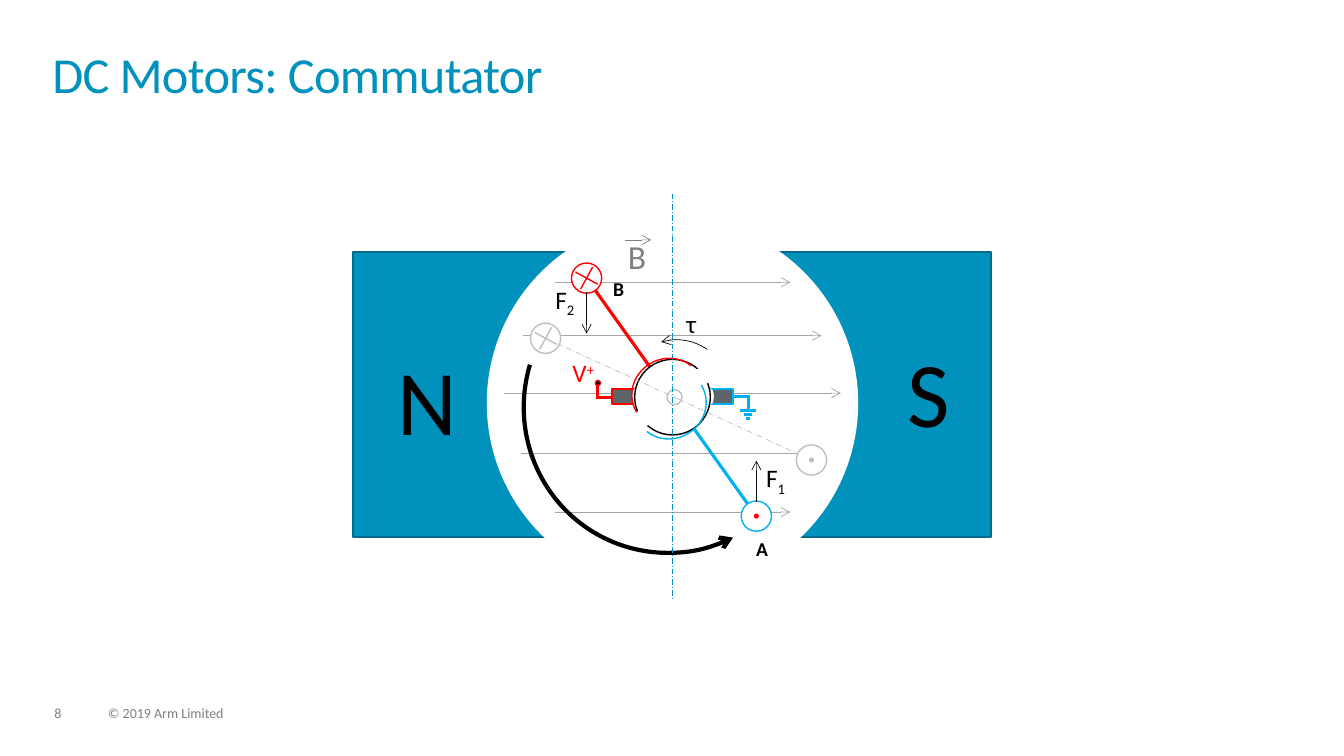
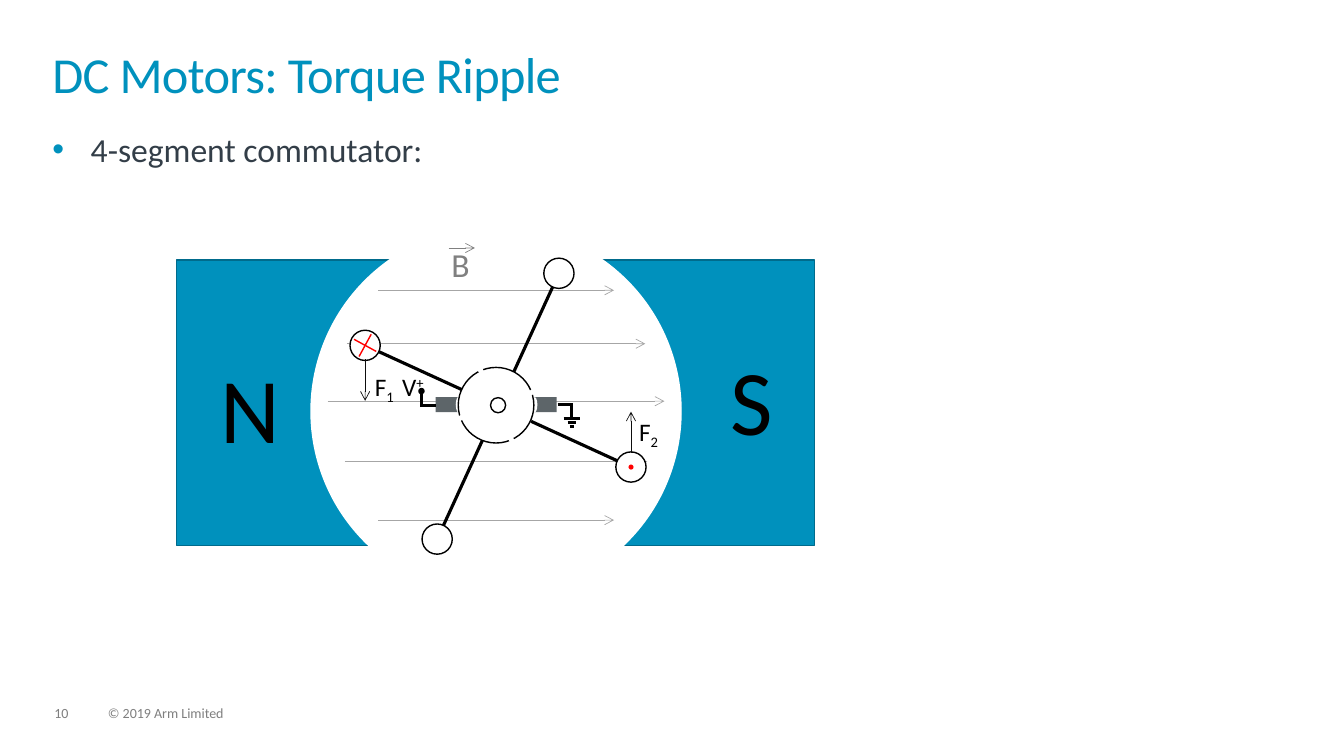
"""Build two slides on DC motors: the commutator and torque ripple."""
from dataclasses import dataclass
from math import cos, radians, sin
from typing import Any

from lxml.etree import SubElement
from pptx import Presentation
from pptx.dml.color import RGBColor as RGB
from pptx.enum.dml import MSO_LINE_DASH_STYLE as DASH
from pptx.enum.shapes import MSO_CONNECTOR as CXN, MSO_SHAPE as SHP
from pptx.enum.text import MSO_ANCHOR as ANC, PP_ALIGN as AL
from pptx.oxml.ns import qn
from pptx.util import Inches, Pt


@dataclass(frozen=True)
class Theme:
    """Colours, type sizes and common measures."""
    font: str = "Calibri"
    brand: str = "0091BD"
    edge: str = "006B8C"
    body: str = "333E48"
    footer: str = "7F7F7F"
    label: str = "808080"
    field: str = "A6A6A6"
    ghost: str = "BFBFBF"
    brush: str = "5D6569"
    force: str = "0D0D0D"
    black: str = "000000"
    white: str = "FFFFFF"
    red: str = "FF0000"
    blue: str = "00B0F0"
    sz_title: int = 36
    sz_body: int = 24
    sz_pole: int = 66
    sz_field: int = 24
    sz_label: int = 18
    sz_end: int = 14
    sz_footer: int = 10
    thin: float = 0.5
    normal: float = 1
    wire: float = 2.25
    thick: float = 3
    coil_r: float = 1.45
    rod_r: float = 0.36
    ring_r: float = 0.38
    disc: float = 0.3


T = Theme()


@dataclass
class Canvas:
    """Shapes of a slide with a movable origin."""
    shapes: Any
    x: float = 0
    y: float = 0

    def box(self, x, y, w, h):
        """Return a box in slide lengths."""
        return [Inches(v) for v in (self.x + x, self.y + y, w, h)]


def fmt(obj, values):
    """Set attributes from a dict of format values."""
    for name, value in values.items():
        setattr(obj, name, value)


def polar(centre, r, angle):
    """Return the point at a radius and clockwise angle from a centre."""
    a = radians(angle)
    return centre[0] + r * cos(a), centre[1] + r * sin(a)


def set_line(s, color, width, dash=None, **ends):
    """Style an outline, with optional dash and arrowheads."""
    s.line.color.rgb = RGB.from_string(color)
    fmt(s.line, {"width": Pt(width), "dash_style": dash})
    ln = s.element.spPr.find(qn("a:ln"))
    for end, kind in ends.items():
        SubElement(ln, qn(f"a:{end}")).set("type", kind)


def shape(c, kind, box, fill=None, line=None, width=T.normal, rot=0, **ends):
    """Add a preset shape without shadow."""
    s = c.shapes.add_shape(kind, *c.box(*box))
    fmt(s, {"rotation": rot})
    s.shadow.inherit = False
    if fill:
        s.fill.solid()
        s.fill.fore_color.rgb = RGB.from_string(fill)
    else:
        s.fill.background()
    if line:
        set_line(s, line, width, **ends)
    else:
        s.line.fill.background()
    return s


def circle(c, centre, d, fill=T.white, line=None):
    """Add a circle around a centre."""
    x, y = centre
    return shape(c, SHP.OVAL, (x - d / 2, y - d / 2, d, d), fill, line)


def arc(c, box, rot, start, end, color, width=T.normal, **ends):
    """Add an open arc between two angles in degrees."""
    s = shape(c, SHP.ARC, box, line=color, width=width, rot=rot, **ends)
    for i, angle in enumerate((start, end)):
        s.adjustments[i] = angle * 0.6


def line(c, start, end, color, width=T.normal, dash=None, **ends):
    """Add a straight line."""
    pts = [Inches(v) for x, y in (start, end) for v in (c.x + x, c.y + y)]
    s = c.shapes.add_connector(CXN.STRAIGHT, *pts)
    set_line(s, color, width, dash, **ends)
    SubElement(s.element.spPr, qn("a:effectLst"))


def write(tf, words, size, color, base="", para=None, run=None, bold=False):
    """Write one paragraph, with an optional raised or lowered part."""
    p = tf.paragraphs[0]
    fmt(p, para or {})
    for i, word in enumerate(words):
        r = p.add_run()
        fmt(r, {"text": word})
        fmt(r.font, {"name": T.font, "size": Pt(size), "bold": bold})
        r.font.color.rgb = RGB.from_string(color)
        attrs = {**(run or {}), **({"baseline": base} if i else {})}
        for name, value in attrs.items():
            r._r.get_or_add_rPr().set(name, value)
    return p


def text(c, box, words, size, color, inset=True, **style):
    """Add a text box, with or without insets."""
    tf = c.shapes.add_textbox(*c.box(*box)).text_frame
    tf.word_wrap = True
    if not inset:
        sides = ("left", "top", "right", "bottom")
        fmt(tf, {f"margin_{side}": 0 for side in sides})
    return write(tf, words, size, color, **style)


def frame(prs, number, title):
    """Add a slide with its title and footer."""
    c = Canvas(prs.slides.add_slide(prs.slide_layouts[6]).shapes)
    for x, w, words in ((0.54, 0.34, number), (1.07, 1.71, "© 2019 Arm Limited")):
        text(c, (x, 7.01, w, 0.15), [words], T.sz_footer, T.footer, False,
             para={"line_spacing": 0.9, "space_after": Pt(6)})
    text(c, (0.52, 0.52, 12.28, 0.72), [title], T.sz_title, T.brand, False,
         para={"line_spacing": 0.85}, run={"spc": "-50"})
    return c


def bullet(c, words):
    """Add the bulleted body text."""
    p = text(c, (0.52, 1.28, 12.28, 4.47), [words], T.sz_body, T.body, False)
    pPr = p._p.get_or_add_pPr()
    for name, value in (("marL", 0.38), ("indent", -0.38)):
        pPr.set(name, str(Inches(value)))
    clr = SubElement(pPr, qn("a:buClr"))
    SubElement(clr, qn("a:srgbClr")).set("val", T.brand)
    SubElement(pPr, qn("a:buFont")).set("typeface", "Arial")
    SubElement(pPr, qn("a:buChar")).set("char", "•")


def magnet(c):
    """Draw the poles, the air gap and the field lines."""
    shape(c, SHP.RECTANGLE, (-3.17, -1.44, 6.33, 2.83), T.brand, T.edge)
    circle(c, (0, 0.06), 3.67, line=T.white)
    rows = ((1.17, -1.14), (1.48, -0.61), (1.67, -0.04), (1.5, 0.56), (1.17, 1.14))
    for half, y in rows:
        line(c, (-half, y), (half, y), T.field, T.thin, tailEnd="arrow")
    for pole, x, y in (("N", -2.83, -0.61), ("S", 2.2, -0.69)):
        s = shape(c, SHP.RECTANGLE, (x, y, 0.68, 1.25), T.brand)
        fmt(s.text_frame, {"vertical_anchor": ANC.MIDDLE, "word_wrap": True})
        write(s.text_frame, [pole], T.sz_pole, T.black, para={"alignment": AL.CENTER})
    text(c, (-0.54, -1.65, 0.43, 0.5), ["B"], T.sz_field, T.label)
    line(c, (-0.47, -1.56), (-0.21, -1.56), T.label, T.thin, tailEnd="arrow")


def brushes(c, left=None, right=None):
    """Draw the two brushes, hollowed towards the ring."""
    for x, hollow, color in ((0.38, 0.36, right), (-0.6, -0.4, left)):
        shape(c, SHP.RECTANGLE, (x, -0.08, 0.22, 0.15), T.brush, color)
        shape(c, SHP.OVAL, (hollow, -0.08, 0.05, 0.15), T.white)


def coil(c, centre, angle, colors, inner=T.rod_r, width=T.wire, dash=None):
    """Draw two opposite rods with end discs and return the disc centres."""
    ends = [polar(centre, T.coil_r, angle + turn) for turn in (180, 0)]
    for end, color, turn in zip(ends, colors, (180, 0)):
        line(c, polar(centre, inner, angle + turn), end, color, width, dash)
    for end, color in zip(ends, colors):
        circle(c, end, T.disc, line=color)
    return ends


def currents(c, ends, cross, dot):
    """Mark current into the first disc and out of the second."""
    x, y = ends[0]
    for dx, dy in ((0.11, 0.06), (-0.06, 0.11)):
        line(c, (x - dx, y - dy), (x + dx, y + dy), cross)
    circle(c, ends[1], 0.05, dot)


def ring(c, gaps, width):
    """Draw the commutator ring with opposite gaps cut out."""
    circle(c, (0, 0), 0.75, line=T.black)
    for angle, rot in gaps:
        for turn in (0, 180):
            x, y = polar((0, 0), T.ring_r, angle + turn)
            shape(c, SHP.RECTANGLE, (x - width / 2, y - 0.11, width, 0.22),
                  T.white, rot=rot)


def supply(c, label_at, plus, minus):
    """Draw the supply terminal and the ground symbol."""
    text(c, (*label_at, 0.7, 0.4), ["V", "+"], T.sz_label, plus, base="30000")
    wires = [((-0.6, 0), (-0.74, 0), plus), ((-0.74, 0.02), (-0.74, -0.13), plus),
             ((0.61, -0.01), (0.75, -0.01), minus), ((0.75, -0.02), (0.75, 0.13), minus)]
    wires += [((0.75 - half, y), (0.75 + half, y), minus)
              for half, y in ((0.08, 0.13), (0.04, 0.17), (0.02, 0.21))]
    for start, end, color in wires:
        line(c, start, end, color, T.wire)
    circle(c, (-0.74, -0.14), 0.05, T.black, plus)


def forces(c, ends, labels):
    """Draw a downward and an upward force with their labels."""
    for (x, y), sign, (sub, lx, ly) in zip(ends, (1, -1), labels):
        line(c, (x, y + 0.14 * sign), (x, y + 0.55 * sign), T.force, T.thin,
             tailEnd="arrow")
        text(c, (lx, ly, 0.44, 0.4), ["F", sub], T.sz_label, T.black, base="-25000")


def commutator(prs):
    """Build the slide on the two-segment commutator."""
    c = frame(prs, "8", "DC Motors: Commutator")
    fmt(c, {"x": 6.67, "y": 3.94})
    magnet(c)
    brushes(c, T.red, T.blue)
    ends = coil(c, (-0.01, 0), 54.5, (T.red, T.blue))
    ring(c, [(-35, 240)], 0.17)
    supply(c, (-1.09, -0.44), T.red, T.blue)
    arc(c, (-1.47, -1.39, 2.89, 2.94), 208.2, 216.34, 347.93, T.black, T.thick,
        headEnd="arrow")
    currents(c, ends, T.red, T.red)
    circle(c, (0.02, 0), 0.15, line=T.ghost)
    ghost = coil(c, (0.06, 0.02), 24.6, (T.ghost, T.ghost), 0, T.thin,
                 DASH.LONG_DASH_DOT)
    currents(c, ghost, T.ghost, T.ghost)
    arc(c, (-0.49, -0.57, 1.06, 1.06), 327.6, 285.71, 337.52, T.black, T.thin,
        headEnd="arrow")
    text(c, (0.04, -0.93, 0.44, 0.4), ["τ"], T.sz_label, T.black)
    forces(c, ends, (("2", -1.26, -1.17), ("1", 0.83, 0.6)))
    line(c, (0, -2.02), (0, 2), T.brand, T.thin, DASH.LONG_DASH_DOT)
    for x, y, rot, color in ((-0.36, -0.29, 58.1, T.blue), (-0.39, -0.4, 238.1, T.red)):
        arc(c, (x, y, 0.68, 0.72), rot, 270, 72.72, color)
    for end, x, y in (("A", 0.83, 1.39), ("B", -0.59, -1.19)):
        text(c, (x, y, 0.25, 0.25), [end], T.sz_end, T.black, False, bold=True)


def torque_ripple(prs):
    """Build the slide on the four-segment commutator."""
    c = frame(prs, "10", "DC Motors: Torque Ripple")
    bullet(c, "4-segment commutator:")
    fmt(c, {"x": 4.92, "y": 4.02})
    magnet(c)
    brushes(c)
    ends, _ = [coil(c, (0.02, 0.01), a, (T.black, T.black)) for a in (24.6, 114.6)]
    currents(c, ends, T.red, T.red)
    forces(c, ends, (("1", -1.3, -0.39), ("2", 1.32, 0.06)))
    supply(c, (-1.03, -0.39), T.black, T.black)
    ring(c, [(-20, 60), (66, 330)], 0.05)
    circle(c, (0.02, 0), 0.15, line=T.black)


def main():
    """Build and save the presentation."""
    prs = Presentation()
    fmt(prs, {"slide_width": Inches(13.33), "slide_height": Inches(7.5)})
    commutator(prs)
    torque_ripple(prs)
    prs.save("out.pptx")


if __name__ == "__main__":
    main()
